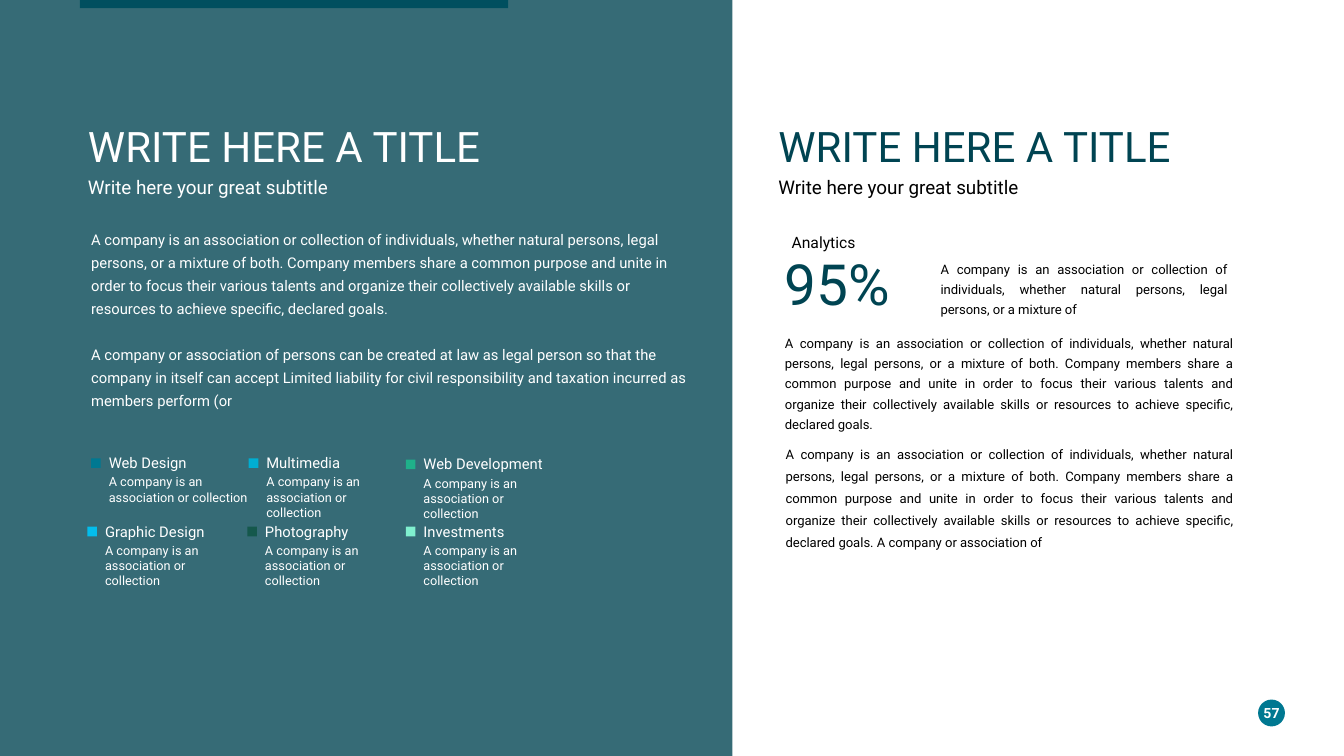
import pptx
import pptx.util
import pptx.dml.color
import pptx.enum.shapes
import pptx.enum.text
import pptx.oxml
import pptx.oxml.ns

Pt = pptx.util.Pt
SHAPE = pptx.enum.shapes.MSO_SHAPE
ALIGN = pptx.enum.text.PP_ALIGN
ANCHOR = pptx.enum.text.MSO_ANCHOR

DARK, TEAL, WHITE, BLACK = "004452", "007891", "FFFFFF", "000000"
NO_INSET = (0, 0)
DEFAULT_INSET = (7.2, 3.6)

PURPOSE = (
    "A company is an association or collection of individuals, whether natural persons, "
    "legal persons, or a mixture of both. Company members share a common purpose and unite "
    "in order to focus their various talents and organize their collectively available "
    "skills or resources to achieve specific, declared goals."
)
LIABILITY = (
    "A company or association of persons can be created at law as legal person so that the "
    "company in itself can accept Limited liability for civil responsibility and taxation "
    "incurred as members perform (or"
)
SHORT = (
    "A company is an association or collection of individuals, whether natural persons, "
    "legal persons, or a mixture of"
)
SERVICES = [
    ("Web Design", TEAL, (48.8, 240.5, 89.5, 39.6)),
    ("Multimedia", "00AED2", (133.2, 240.5, 83.7, 39.6)),
    ("Web Development", "1FB18A", (217.4, 241.2, 83.7, 39.6)),
    ("Graphic Design", "03BDEC", (46.8, 277.2, 83.7, 39.6)),
    ("Photography", "15584C", (132.5, 277.2, 83.7, 39.6)),
    ("Investments", "80F0CF", (217.4, 277.2, 83.7, 39.6)),
]


def rgb(value):
    """Turn a hex string into a colour."""
    return pptx.dml.color.RGBColor.from_string(value)


def assign(target, values):
    """Set each attribute of target from a dict."""
    for name, value in values.items():
        setattr(target, name, value)


def para(text, size, color, bold=False, **fmt):
    """Describe one paragraph with its font and paragraph format."""
    return text, {"size": Pt(size), "name": "Roboto", "bold": bold}, color, fmt


def write(sp, box, paras, inset=DEFAULT_INSET, anchor=ANCHOR.TOP, wrap=True):
    """Place a text shape and fill it with paragraphs."""
    assign(sp, dict(zip(("left", "top", "width", "height"), map(Pt, box))))
    tf = sp.text_frame
    x, y = map(Pt, inset)
    assign(tf, {
        "auto_size": pptx.enum.text.MSO_AUTO_SIZE.NONE,
        "word_wrap": wrap,
        "vertical_anchor": anchor,
        "margin_left": x, "margin_right": x,
        "margin_top": y, "margin_bottom": y,
    })
    for i, (text, font, color, fmt) in enumerate(paras):
        p = tf.add_paragraph() if i else tf.paragraphs[0]
        assign(p, {"alignment": ALIGN.LEFT, **fmt})
        r = p.add_run()
        r.text = text
        assign(r.font, font)
        r.font.color.rgb = rgb(color)


def add_text(s, box, paras, **frame):
    """Add a text box at the given place."""
    write(s.shapes.add_textbox(0, 0, 0, 0), box, paras, **frame)


def add_block(s, kind, box, color, alpha=None):
    """Add a plain filled shape, optionally see-through."""
    sp = s.shapes.add_shape(kind, *map(Pt, box))
    sp.shadow.inherit = False
    sp.fill.solid()
    sp.fill.fore_color.rgb = rgb(color)
    sp.line.fill.background()
    if alpha:
        clr = sp.element.spPr.find(".//" + pptx.oxml.ns.qn("a:srgbClr"))
        node = pptx.oxml.parse_xml(
            f'<a:alpha {pptx.oxml.ns.nsdecls("a")} val="{alpha * 1000}"/>')
        clr.append(node)
    return sp


def add_heading(s, title, box, title_color, subtitle_color):
    """Write a title shape and the subtitle below it."""
    x, y, w, h = box
    write(title, box, [para("WRITE HERE A TITLE", 22.5, title_color, line_spacing=0.8)],
          inset=NO_INSET)
    add_text(s, (x, y + 26.6, w, 10.1),
             [para("Write here your great subtitle", 10.1, subtitle_color, line_spacing=0.8)],
             inset=NO_INSET)


def add_service(s, box, name, color):
    """Add a coloured marker with a service name and its description."""
    x, y, w, h = box
    add_block(s, SHAPE.RECTANGLE, (x, y + 5, 5.2, 5.2), color)
    add_text(s, (x + 4.5, y, w - 4.5, h), [
        para(name, 7.9, WHITE),
        para("A company is an association or collection", 6.8, WHITE, space_before=Pt(1.5)),
    ], inset=(5, 2.6))


def add_left_panel(s, box):
    """Build the dark panel with the main title, text and services."""
    x, y, w, h = box
    add_block(s, SHAPE.RECTANGLE, (x + 42.8, y, 229.4, 4.4), TEAL)
    panel = add_block(s, SHAPE.RECTANGLE, box, DARK, alpha=79)
    title = s.shapes.title
    panel.element.addnext(title.element)
    add_heading(s, title, (x + 47.1, y + 69.8, 281.5, 21.6), WHITE, WHITE)
    add_text(s, (x + 46.8, y + 119.5, 324.7, 101.5), [
        para(PURPOSE, 7.9, WHITE, line_spacing=1.3),
        para(LIABILITY, 7.9, WHITE, line_spacing=1.3, space_before=Pt(12.2)),
    ], inset=(2, 1), anchor=ANCHOR.MIDDLE)
    for name, color, (left, top, width, height) in SERVICES:
        add_service(s, (x + left, y + top, width, height), name, color)


def add_right_panel(s, box):
    """Build the white side with the key figure and its texts."""
    x, y, w, h = box
    body = {"alignment": ALIGN.JUSTIFY, "line_spacing": 1.3}
    title = s.shapes.add_textbox(0, 0, 0, 0)
    add_heading(s, title, (x + 24.6, y + 69.8, 253.4, 21.6), DARK, BLACK)
    add_text(s, (x + 24.6, y + 121, 59, 17.3), [para("Analytics", 8.4, BLACK)], wrap=False)
    add_text(s, (x + 21, y + 129.6, 96.5, 43.9), [para("95%", 30.4, DARK)])
    add_text(s, (x + 104.4, y + 133.9, 167.8, 40.3), [para(SHORT, 7, BLACK, **body)])
    add_text(s, (x + 21, y + 173.5, 254.2, 51.8), [para(PURPOSE, 7, BLACK, **body)])
    add_text(s, (x + 24.5, y + 234, 247.7, 64),
             [para(PURPOSE + " A company or association of", 7, BLACK,
                   alignment=ALIGN.JUSTIFY, line_spacing=1.4)], inset=(4, 2))


def add_page_number(s, box, number):
    """Add the round page number badge."""
    x, y, w, h = box
    add_block(s, SHAPE.OVAL, box, TEAL)
    add_text(s, (x - 3.6, y + 1.4, w + 7.2, h - 2.8),
             [para(number, 7.5, WHITE, bold=True, alignment=ALIGN.CENTER)],
             inset=NO_INSET, anchor=ANCHOR.MIDDLE)


def main():
    """Build and save the slide."""
    prs = pptx.Presentation()
    assign(prs, {"slide_width": Pt(720), "slide_height": Pt(405)})
    s = prs.slides.add_slide(prs.slide_layouts.get_by_name("Title Only"))
    add_left_panel(s, (0, 0, 392.4, 405))
    add_right_panel(s, (392.4, 0, 327.6, 405))
    add_page_number(s, (674, 374.8, 14.4, 14.4), "57")
    prs.save("out.pptx")


if __name__ == "__main__":
    main()
